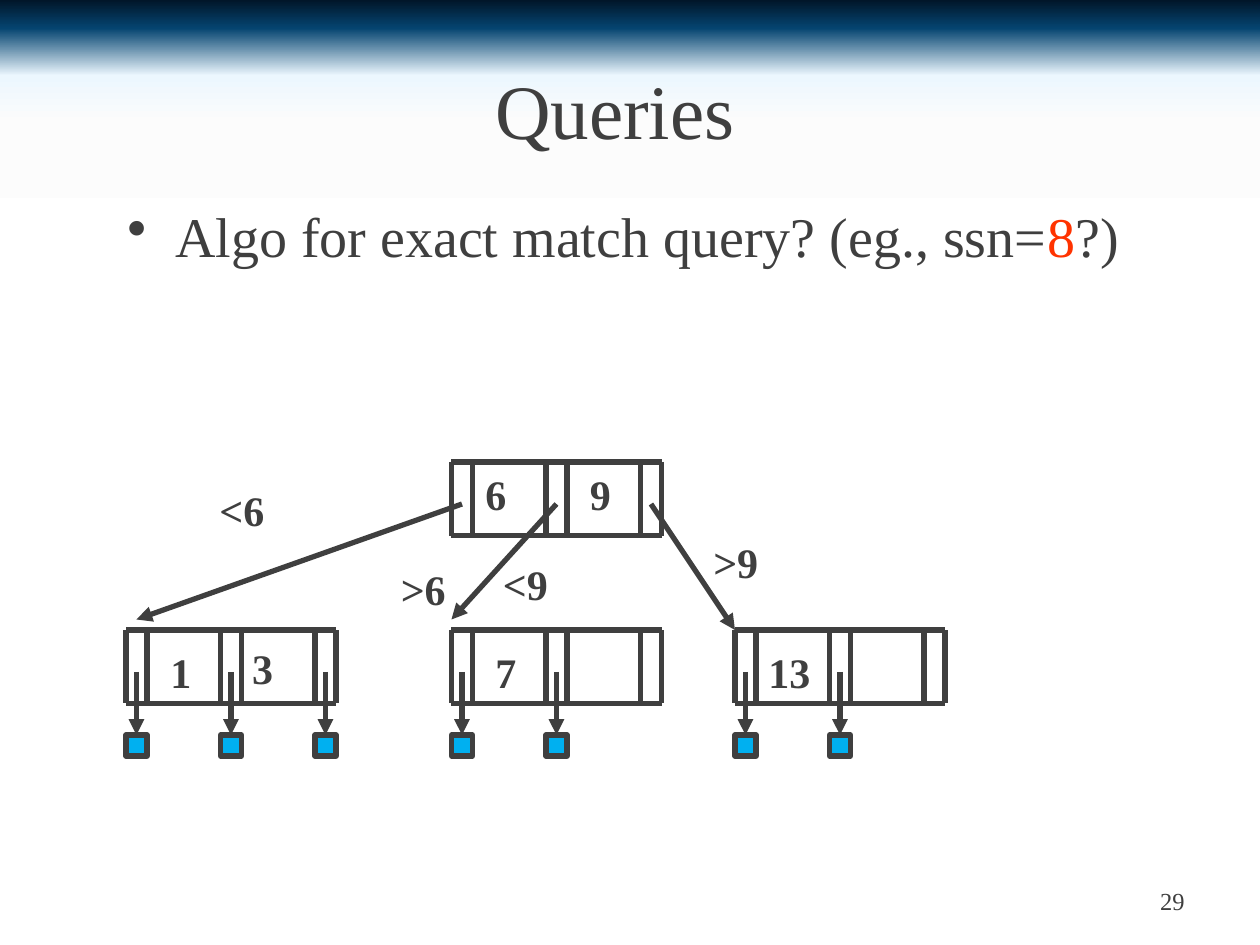
import dataclasses

import pptx
import pptx.dml.color
import pptx.enum.shapes
import pptx.enum.text
import pptx.oxml
import pptx.oxml.ns
import pptx.util

ALIGN = pptx.enum.text.PP_ALIGN
ANCHOR = pptx.enum.text.MSO_ANCHOR
NODE_W, NODE_H, SLOT, STEP = 20, 7, 2, 9


@dataclasses.dataclass(frozen=True)
class Theme:
    """Colours, type sizes and line width of the slide."""
    font: str = "Times New Roman"
    ink: str = "3F3F3F"
    hot: str = "FF3300"
    leaf: str = "00B0F0"
    title: int = 44
    body: int = 32
    label: int = 24
    foot: int = 14
    line: int = 3
    sky: tuple = ((0, "011629"), (3, "054470"), (8, "ECF7FE"),
                  (13, "FCFCFC"), (21, "FFFFFF"), (100, "FFFFFF"))


THEME = Theme()


def unit(n):
    """Turn grid steps of a twelfth of an inch into a length."""
    return pptx.util.Inches(n / 12)


def color(code):
    """Return the colour for a hex code."""
    return pptx.dml.color.RGBColor.from_string(code)


def add(parent, tag, **attrs):
    """Append an XML child with the given attributes."""
    child = pptx.oxml.parse_xml(f"<{tag} {pptx.oxml.ns.nsdecls('a')}/>")
    for key, val in attrs.items():
        child.set(key, str(val))
    parent.append(child)
    return child


def sky(slide):
    """Fill the background with the vertical gradient."""
    fill = slide.background.fill
    fill.gradient()
    fill.gradient_angle = 270
    stops = slide.element.find(".//" + pptx.oxml.ns.qn("a:gsLst"))
    for old in list(stops):
        stops.remove(old)
    for place, code in THEME.sky:
        add(add(stops, "a:gs", pos=place * 1000), "a:srgbClr", val=code)


def text(slide, runs, box, size=THEME.label, bold=False, align=ALIGN.CENTER,
         anchor=ANCHOR.TOP, wrap=True, inset=(0.1, 0.05), bullet=None):
    """Add a text box at box inches with runs of words and colour."""
    shape = slide.shapes.add_textbox(*map(pptx.util.Inches, box))
    frame = shape.text_frame
    frame.word_wrap, frame.vertical_anchor = wrap, anchor
    frame.margin_left, frame.margin_top = map(pptx.util.Inches, inset)
    para = frame.paragraphs[0]
    para.alignment = align
    if bullet:
        props = para._p.get_or_add_pPr()
        hang = pptx.util.Inches(0.38)
        props.set("marL", str(hang))
        props.set("indent", str(-hang))
        add(props, "a:buChar", char=bullet)
    for words, code in runs:
        run = para.add_run()
        run.text = words
        run.font.name, run.font.size = THEME.font, pptx.util.Pt(size)
        run.font.bold = bold
        run.font.color.rgb = color(code)


def ink(shape):
    """Give a shape or line the dark outline."""
    shape.line.color.rgb = color(THEME.ink)
    shape.line.width = pptx.util.Pt(THEME.line)


def line(slide, start, end, head=False):
    """Draw a line between two grid points, with an arrowhead if asked."""
    kind = pptx.enum.shapes.MSO_CONNECTOR.STRAIGHT
    link = slide.shapes.add_connector(kind, *map(unit, (*start, *end)))
    ink(link)
    if head:
        add(link.line._get_or_add_ln(), "a:tailEnd", type="triangle")
    add(link._element.spPr, "a:effectLst")


def node(slide, col, row):
    """Draw a tree node with three pointer slots."""
    for slot in range(3):
        for side in (0, SLOT):
            x = col + slot * STEP + side
            line(slide, (x, row), (x, row + NODE_H))
    for y in (row, row + NODE_H):
        line(slide, (col, y), (col + NODE_W, y))


def leaf(slide, col, row, count):
    """Draw a leaf node whose first slots point to records."""
    node(slide, col, row)
    for slot in range(count):
        x, y = col + slot * STEP, row + 10
        line(slide, (x + SLOT / 2, row + 4), (x + SLOT / 2, y), head=True)
        kind = pptx.enum.shapes.MSO_SHAPE.RECTANGLE
        rect = slide.shapes.add_shape(kind, *map(unit, (x, y, SLOT, SLOT)))
        rect.shadow.inherit = False
        rect.fill.solid()
        rect.fill.fore_color.rgb = color(THEME.leaf)
        ink(rect)


def tree(slide):
    """Draw the root, its leaves, the links and the labels."""
    root, top, low = 43, 44, 60
    node(slide, root, top)
    for col, count in ((70, 2), (43, 2), (12, 3)):
        leaf(slide, col, low, count)
    for slot, end in enumerate(((13, 59), (43, 59), (70, 60))):
        line(slide, (root + 1 + slot * STEP, top + 4), end, head=True)
    for words, x, y, wide in (
            ("1", 1.25, 5.08, 0.37), ("3", 1.9, 5.05, 0.37),
            ("6", 3.75, 3.67, 0.37), ("7", 3.83, 5.08, 0.37),
            ("9", 4.58, 3.67, 0.37), ("13", 6, 5.08, 0.53),
            ("<6", 1.64, 3.8, 0.56), (">6", 3.08, 4.42, 0.56),
            ("<9", 3.89, 4.38, 0.56), (">9", 5.56, 4.21, 0.56)):
        text(slide, [(words, THEME.ink)], (x, y, wide, 0.5),
             bold=True, wrap=False)


def main():
    """Build and save the slide."""
    deck = pptx.Presentation()
    deck.slide_width, deck.slide_height = unit(120), unit(90)
    slide = deck.slides.add_slide(deck.slide_layouts[6])
    sky(slide)
    text(slide, [("29", THEME.ink)], (7.17, 6.95, 2.33, 0.4),
         size=THEME.foot, align=ALIGN.RIGHT, anchor=ANCHOR.MIDDLE)
    text(slide, [("Queries", THEME.ink)], (0.17, 0.3, 9.42, 1.12),
         size=THEME.title, anchor=ANCHOR.MIDDLE)
    text(slide, [("Algo for exact match query? (eg., ssn=", THEME.ink),
                 ("8", THEME.hot), ("?)", THEME.ink)],
         (0.17, 1.5, 9.42, 5.2), size=THEME.body, align=ALIGN.LEFT,
         inset=(0.84, 0.1), bullet="•")
    tree(slide)
    deck.save("out.pptx")


if __name__ == "__main__":
    main()
